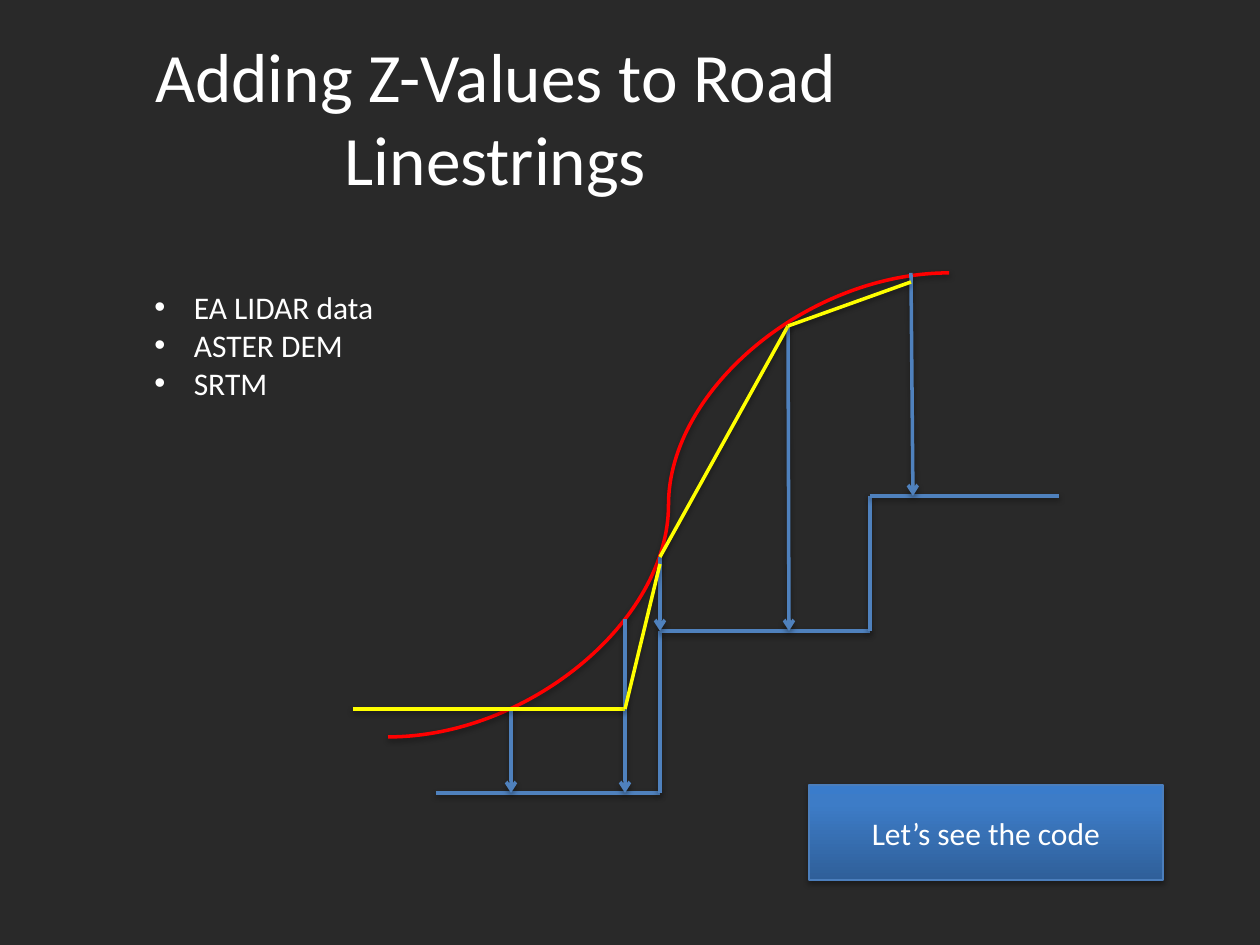
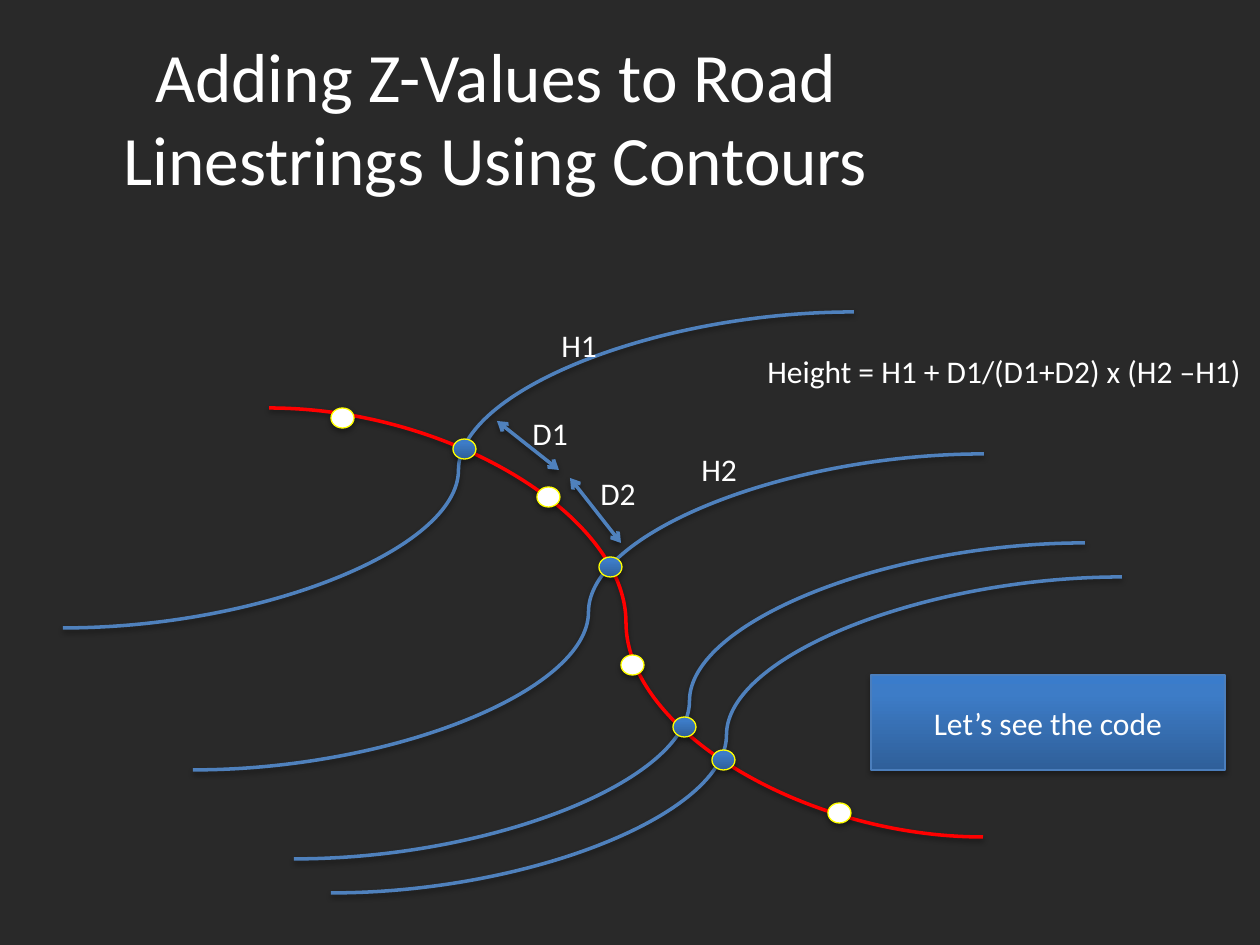
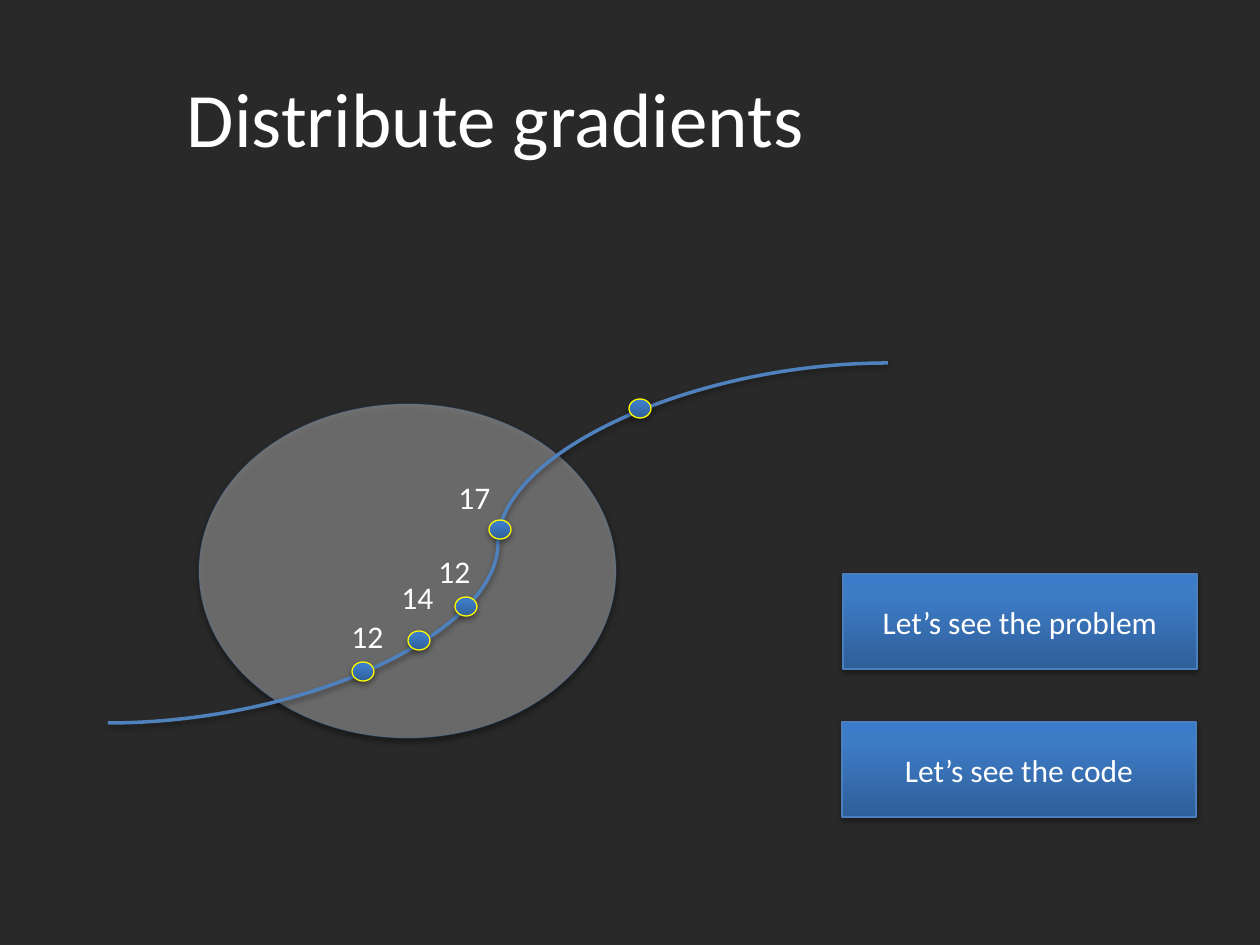
"""Build three slides on road heights and gradients."""
from copy import deepcopy
from itertools import pairwise

from lxml import etree
from pptx import Presentation
from pptx import util as u
from pptx.dml.color import RGBColor
from pptx.enum import shapes, text
from pptx.oxml.ns import qn

PX = 914400 / 126
BACKGROUND, WHITE, BLUE, RED, YELLOW = "292929", "FFFFFF", "4F81BD", "FF0000", "FFFF00"
BUTTON_EDGE = "4B7EBC"
GRADIENT = [(0, "2F5F99"), (0.8, "3D7CC7"), (1, "3A7CCB")]
STRAIGHT, CURVE = shapes.MSO_CONNECTOR.STRAIGHT, shapes.MSO_CONNECTOR.CURVE
BUTTON_SIZE = (354, 95)
CONTOUR_WIDTH, CONTOUR_RISE = 791, 316


def paint(fill, colour):
    fill.solid()
    fill.fore_color.rgb = RGBColor.from_string(colour)


def write(shape, content, size=18, align=text.PP_ALIGN.LEFT, anchor=text.MSO_ANCHOR.TOP, bullet=None):
    frame = shape.text_frame
    frame.text = content
    frame.word_wrap = True
    frame.auto_size = text.MSO_AUTO_SIZE.NONE
    frame.vertical_anchor = anchor
    for paragraph in frame.paragraphs:
        paragraph.alignment = align
        font = paragraph.runs[0].font
        font.name, font.size = "Calibri", u.Pt(size)
        paint(font.fill, WHITE)
        if bullet:
            properties = paragraph._p.get_or_add_pPr()
            properties.set("marL", "285750")
            properties.set("indent", "-285750")
            etree.SubElement(properties, qn("a:buFont"), typeface="Arial")
            etree.SubElement(properties, qn("a:buChar"), char=bullet)


elevation = {
    "title": "Adding Z-Values to Road Linestrings",
    "title_size": 39.6,
    "lines": [
        (STRAIGHT, BLUE, [], [(436, 793), (660, 793), (660, 631), (870, 631), (870, 496), (1059, 496)]),
        (CURVE, RED, [], [(388, 737), (949, 273)]),
        *[(STRAIGHT, BLUE, ["tailEnd"], points) for points in [
            [(511, 709), (511, 793)],
            [(625, 619), (625, 793)],
            [(660, 557), (660, 631)],
            [(788, 326), (789, 631)],
            [(911, 273), (913, 496)],
        ]],
        (STRAIGHT, YELLOW, [], [(353, 709), (625, 709), (660, 564)]),
        (STRAIGHT, YELLOW, [], [(660, 557), (788, 326), (911, 282)]),
    ],
    "buttons": [("Let’s see the code", 809, 785)],
    "labels": [("EA LIDAR data\nASTER DEM\nSRTM", 142, 282, 247, 127, "•")],
}
contours = {
    "title": "Adding Z-Values to Road Linestrings Using Contours",
    "title_size": 39.6,
    "lines": [
        *[(CURVE, BLUE, [], [(x, y), (x + CONTOUR_WIDTH, y - CONTOUR_RISE)])
          for x, y in [(294, 859), (331, 893), (193, 770), (63, 628)]],
        (CURVE, RED, [], [(269, 408), (983, 837)]),
        (STRAIGHT, BLUE, ["headEnd", "tailEnd"], [(497, 421), (559, 470)]),
        (STRAIGHT, BLUE, ["headEnd", "tailEnd"], [(570, 478), (621, 543)]),
    ],
    "dot_size": (23, 20),
    "crossings": [(453, 439), (599, 557), (673, 717), (712, 750)],
    "road_points": [(537, 487), (331, 408), (828, 803), (621, 655)],
    "buttons": [("Let’s see the code", 871, 675)],
    "labels": [
        *[(name, x, y, 68, 50, None) for name, x, y in
          [("D1", 520, 408), ("D2", 588, 468), ("H1", 549, 320), ("H2", 689, 444)]],
        ("Height = H1 + D1/(D1+D2) x (H2 –H1)", 755, 346, 505, 50, None),
    ],
}
gradients = {
    "title": "Distribute gradients",
    "title_size": 44,
    "zone": (199, 404, 417, 334),
    "lines": [(CURVE, BLUE, [], [(108, 723), (888, 363)])],
    "dot_size": (22, 19),
    "crossings": [(352, 662), (408, 631), (455, 597), (489, 520), (629, 399)],
    "buttons": [("Let’s see the code", 842, 722), ("Let’s see the problem", 843, 574)],
    "labels": [(name, x, y, 58, 50, None) for name, x, y in
               [("12", 339, 611), ("14", 389, 572), ("12", 426, 546), ("17", 446, 472)]],
}

presentation = Presentation()
presentation.slide_width, presentation.slide_height = u.Inches(10), u.Inches(7.5)
paint(presentation.slide_master.background.fill, BACKGROUND)

for content in (elevation, contours, gradients):
    slide = presentation.slides.add_slide(presentation.slide_layouts[5])
    gradient_shapes = []
    title = slide.shapes.title
    title.left, title.top, title.width, title.height = [round(v * PX) for v in (63, 38, 865, 157)]
    write(title, content["title"], size=content["title_size"],
          align=text.PP_ALIGN.CENTER, anchor=text.MSO_ANCHOR.MIDDLE)

    if "zone" in content:
        zone = slide.shapes.add_shape(shapes.MSO_SHAPE.OVAL, *[round(v * PX) for v in content["zone"]])
        paint(zone.fill, WHITE)
        paint(zone.line.fill, BUTTON_EDGE)
        zone.line.width = u.Pt(0.75)
        for colour, opacity in zip(zone.element.spPr.iter(qn("a:srgbClr")), ("35000", "25000")):
            etree.SubElement(colour, qn("a:alpha"), val=opacity)

    for kind, colour, arrowheads, points in content["lines"]:
        for begin, end in pairwise(points):
            connector = slide.shapes.add_connector(kind, *[round(v * PX) for v in begin + end])
            paint(connector.line.fill, colour)
            connector.line.width = u.Pt(2)
            for arrowhead in arrowheads:
                etree.SubElement(connector.element.spPr.find(qn("a:ln")), qn(f"a:{arrowhead}"), type="arrow")

    for group in ("crossings", "road_points"):
        for position in content.get(group, []):
            dot = slide.shapes.add_shape(
                shapes.MSO_SHAPE.OVAL, *[round(v * PX) for v in position + content["dot_size"]])
            if group == "road_points":
                paint(dot.fill, WHITE)
            else:
                gradient_shapes.append(dot)
            paint(dot.line.fill, YELLOW)
            dot.line.width = u.Pt(0.75)

    for caption, *position in content["buttons"]:
        button = slide.shapes.add_shape(
            shapes.MSO_SHAPE.ACTION_BUTTON_CUSTOM, *[round(v * PX) for v in (*position, *BUTTON_SIZE)])
        gradient_shapes.append(button)
        paint(button.line.fill, BUTTON_EDGE)
        button.line.width = u.Pt(0.75)
        write(button, caption, align=text.PP_ALIGN.CENTER, anchor=text.MSO_ANCHOR.MIDDLE)

    for shape in gradient_shapes:
        shape.fill.gradient()
        shape.fill.gradient_angle = 90
        stop_list = next(shape.element.spPr.iter(qn("a:gsLst")))
        stop_list.append(deepcopy(stop_list[-1]))
        for stop, (position, colour) in zip(shape.fill.gradient_stops, GRADIENT):
            stop.position = position
            stop.color.rgb = RGBColor.from_string(colour)

    for caption, *box, bullet in content["labels"]:
        label = slide.shapes.add_textbox(*[round(v * PX) for v in box])
        write(label, caption, bullet=bullet)

presentation.save("out.pptx")
